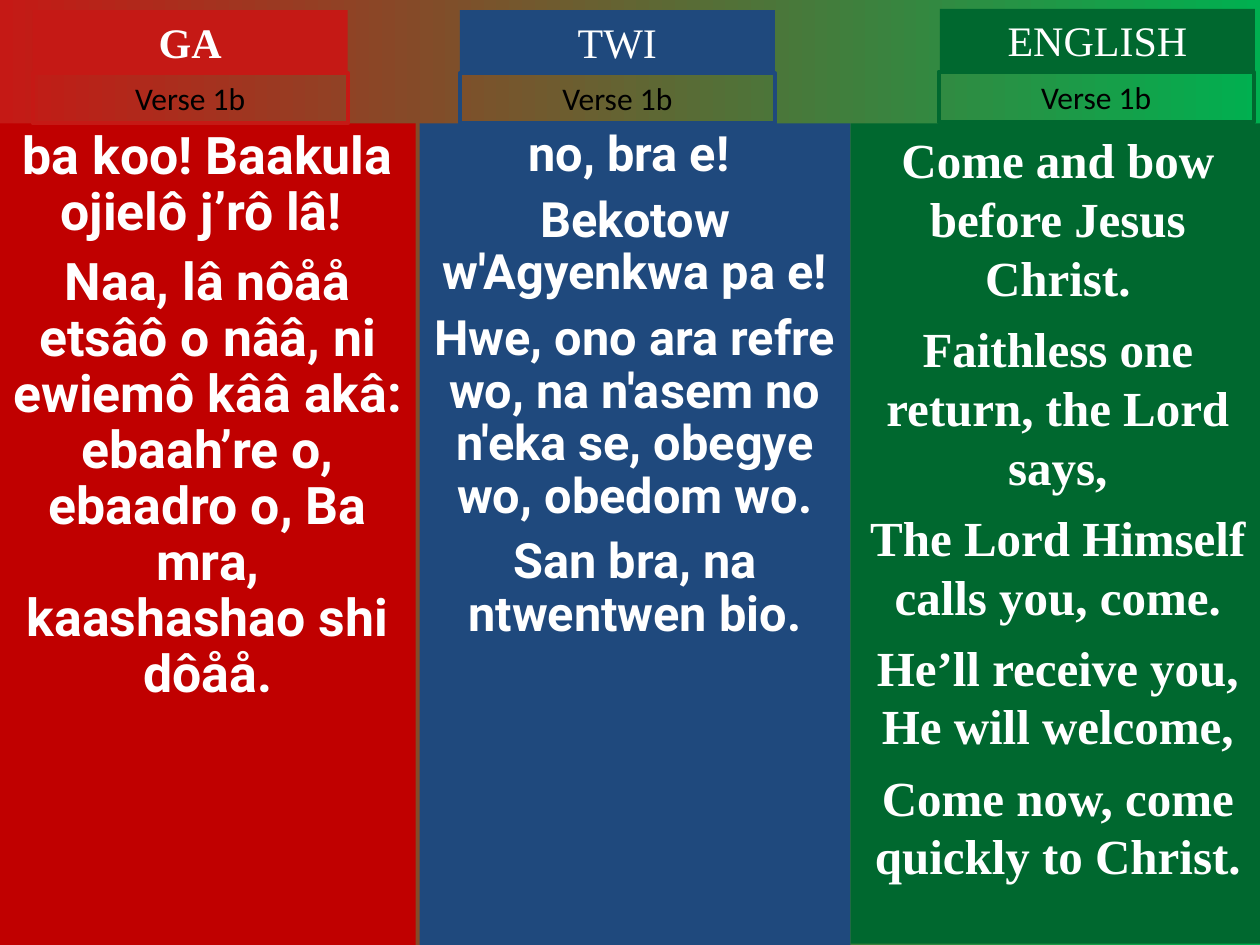
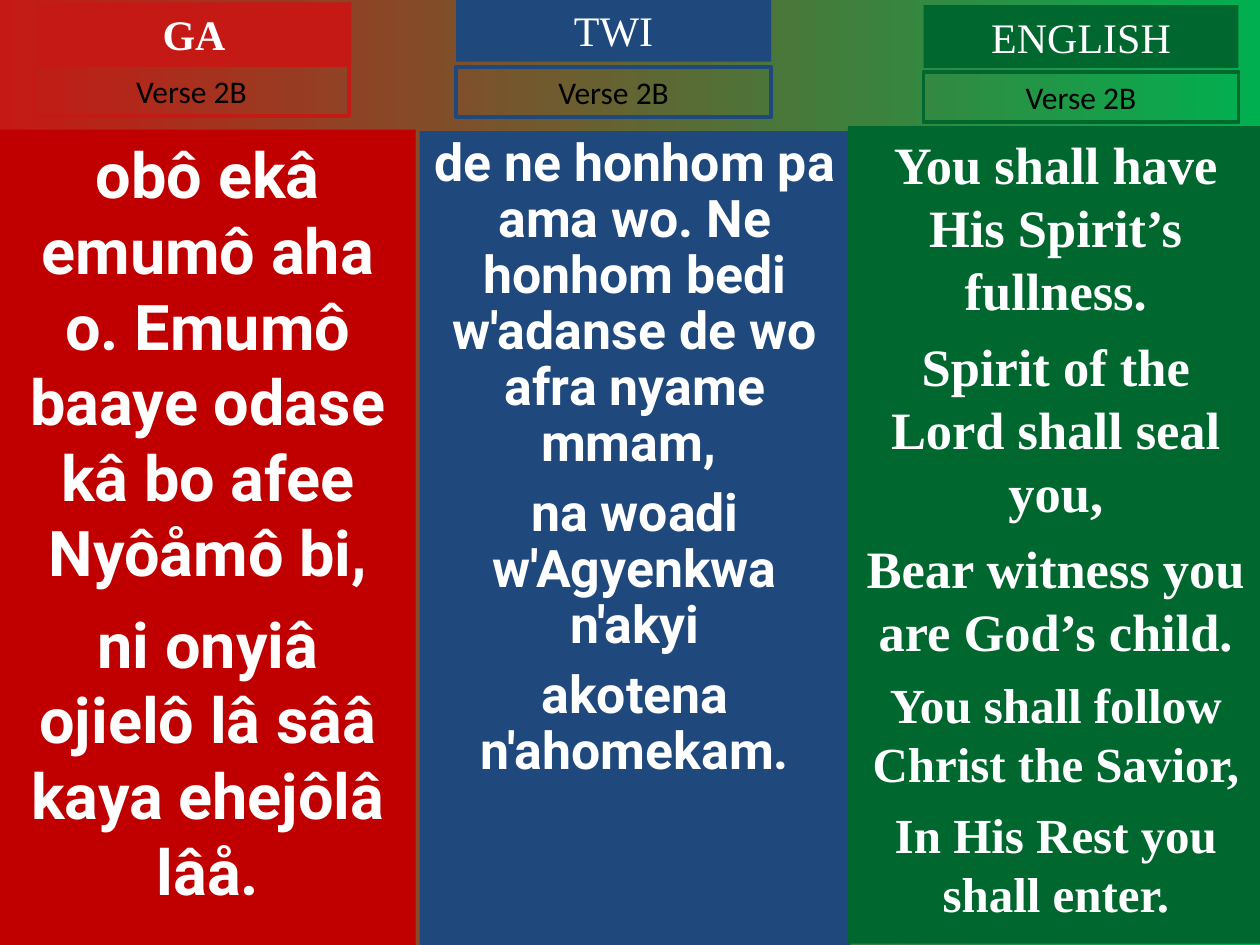
"""Build two hymn slides with a Ga, a Twi and an English verse side by side."""
from dataclasses import dataclass

from pptx import Presentation
from pptx.dml.color import RGBColor
from pptx.enum import shapes, text
from pptx.util import Inches, Pt

RED, GREEN = "C51915", "00B050"
WHITE, BLACK = "FFFFFF", "000000"
SERIF, SANS, LABEL_FONT = "Times New Roman", "Roboto", "Calibri"
TAB_WIDTH, HEADING_HEIGHT, LABEL_HEIGHT = 2.5, 0.5, 0.4


@dataclass(frozen=True)
class Language:
    name: str
    heading_color: str
    verse_color: str
    verse_font: str
    bold_heading: bool = False


@dataclass(frozen=True)
class Line:
    words: str
    size: float
    font: str
    color: str = WHITE
    bold: bool = False
    gap: float = 0
    spacing: float = 1.0


@dataclass(frozen=True)
class Stanza:
    size: float
    gap: float
    sentences: tuple[str, ...]
    spacing: float = 1.0


@dataclass(frozen=True)
class Column:
    language: Language
    verse_box: tuple[float, float, float, float]
    heading_at: tuple[float, float]
    label_at: tuple[float, float]
    stanzas: tuple[Stanza, ...]


@dataclass(frozen=True)
class Verse:
    label: str
    columns: tuple[Column, ...]


GA = Language("GA", RED, "C00000", SANS, bold_heading=True)
TWI = Language("TWI", "1F497D", "1F497D", SANS)
ENGLISH = Language("ENGLISH", "00682F", "00682F", SERIF)

VERSES = (
    Verse("Verse 1b", (
        Column(GA, (0, 0.98, 3.3, 6.52), (0.26, 0.08), (0.26, 0.58), (
            Stanza(29.6, 8, (
                "ba koo! Baakula ojielô j’rô lâ! ",
                "Naa, lâ nôåå etsâô o nââ, ni ewiemô kââ akâ: "
                "ebaah’re o, ebaadro o, Ba mra, kaashashao shi dôåå.",
            ), 0.9),
        )),
        Column(TWI, (3.33, 0.98, 3.42, 6.52), (3.65, 0.08), (3.65, 0.58), (
            Stanza(27.8, 7.5, (
                "no, bra e! ",
                "Bekotow w'Agyenkwa pa e!",
                "Hwe, ono ara refre wo, na n'asem no n'eka se, "
                "obegye wo, obedom wo.",
                "San bra, na ntwentwen bio.",
            ), 0.9),
        )),
        Column(ENGLISH, (6.75, 0.98, 3.29, 6.51), (7.46, 0.07), (7.45, 0.57), (
            Stanza(28, 7, (
                "Come and bow before Jesus Christ.",
                "Faithless one return, the Lord says,",
                "The Lord Himself calls you, come.",
                "He’ll receive you, He will welcome,",
                "Come now, come quickly to Christ.",
            )),
        )),
    )),
    Verse("Verse 2B", (
        Column(GA, (0, 1.03, 3.3, 6.47), (0.29, 0.02), (0.27, 0.52), (
            Stanza(36, 9, (
                "obô ekâ emumô aha o. Emumô baaye odase kâ bo afee Nyôåmô bi,",
                "ni onyiâ ojielô lâ sââ kaya ehejôlâ lâå.",
            )),
        )),
        Column(TWI, (3.33, 1.04, 3.42, 6.46), (3.62, -0.01), (3.62, 0.53), (
            Stanza(29.6, 8, (
                "de ne honhom pa ama wo. Ne honhom bedi w'adanse "
                "de wo afra nyame mmam, ",
                "na woadi w'Agyenkwa n'akyi",
                "akotena n'ahomekam.",
            ), 0.9),
        )),
        Column(ENGLISH, (6.73, 1, 3.3, 6.49), (7.33, 0.04), (7.33, 0.57), (
            Stanza(30, 7.5, (
                "You shall have His Spirit’s fullness.",
                "Spirit of the Lord shall seal you,",
                "Bear witness you are God’s child.",
            )),
            Stanza(28, 7, (
                "You shall follow Christ the Savior,",
                "In His Rest you shall enter.",
            )),
        )),
    )),
)


def rgb(color: str) -> RGBColor:
    """Turn a hex string into a colour."""
    return RGBColor.from_string(color)


def paint_background(slide) -> None:
    """Blend the slide from red on the left to green on the right."""
    fill = slide.background.fill
    fill.gradient()
    fill.gradient_angle = 0
    for stop, color, position in zip(fill.gradient_stops, (RED, GREEN), (0, 1)):
        stop.color.rgb = rgb(color)
        stop.position = position


def add_panel(slide, box: tuple[float, float, float, float], lines: list[Line],
              fill: str | None = None, outline: str | None = None,
              grow: bool = False) -> None:
    """Draw a rectangle with centred lines of text, set from the top."""
    panel = slide.shapes.add_shape(
        shapes.MSO_SHAPE.RECTANGLE, *(Inches(length) for length in box))
    panel.shadow.inherit = False
    if fill:
        panel.fill.solid()
        panel.fill.fore_color.rgb = rgb(fill)
    else:
        panel.fill.background()
    if outline:
        panel.line.color.rgb = rgb(outline)
        panel.line.width = Pt(2.25)
    else:
        panel.line.fill.background()

    frame = panel.text_frame
    frame.word_wrap = True
    frame.vertical_anchor = text.MSO_ANCHOR.TOP
    frame.auto_size = (text.MSO_AUTO_SIZE.SHAPE_TO_FIT_TEXT if grow
                       else text.MSO_AUTO_SIZE.NONE)
    for index, line in enumerate(lines):
        paragraph = frame.add_paragraph() if index else frame.paragraphs[0]
        paragraph.alignment = text.PP_ALIGN.CENTER
        paragraph.line_spacing = line.spacing
        paragraph.space_before = Pt(line.gap if index else 0)
        run = paragraph.add_run()
        run.text = line.words
        run.font.name = line.font
        run.font.size = Pt(line.size)
        run.font.bold = line.bold
        run.font.color.rgb = rgb(line.color)


def add_column(slide, column: Column, label: str) -> None:
    """Draw one language: its verse, its heading and its verse label."""
    language = column.language
    sentences = [
        Line(sentence, stanza.size, language.verse_font, bold=True,
             gap=stanza.gap, spacing=stanza.spacing)
        for stanza in column.stanzas for sentence in stanza.sentences
    ]
    add_panel(slide, column.verse_box, sentences, fill=language.verse_color)
    add_panel(slide, (*column.heading_at, TAB_WIDTH, HEADING_HEIGHT),
              [Line(language.name, 24, SERIF, bold=language.bold_heading)],
              fill=language.heading_color, grow=True)
    add_panel(slide, (*column.label_at, TAB_WIDTH, LABEL_HEIGHT),
              [Line(label, 18, LABEL_FONT, BLACK)],
              outline=language.heading_color, grow=True)


def main() -> None:
    """Build and save the slides."""
    deck = Presentation()
    deck.slide_width, deck.slide_height = Inches(10), Inches(7.5)
    for verse in VERSES:
        slide = deck.slides.add_slide(deck.slide_layouts[6])
        paint_background(slide)
        for column in verse.columns:
            add_column(slide, column, verse.label)
    deck.save("out.pptx")


if __name__ == "__main__":
    main()
